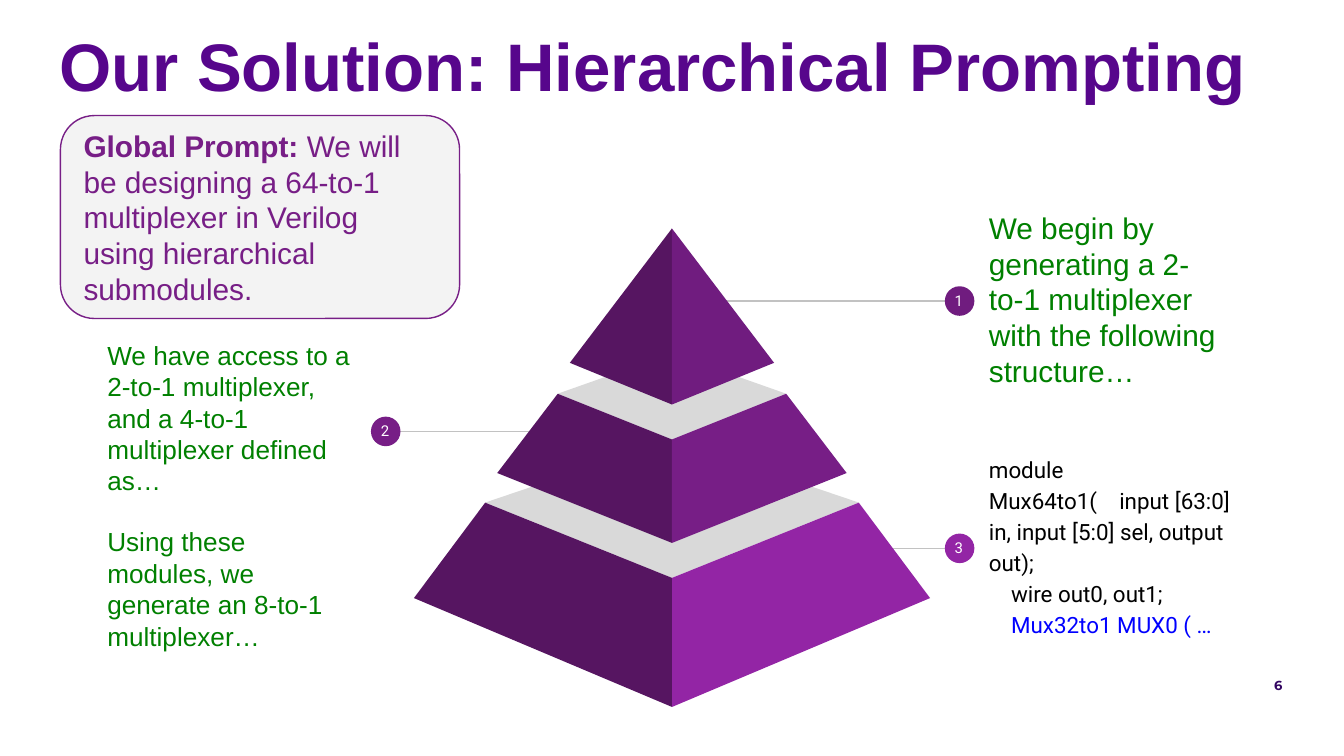
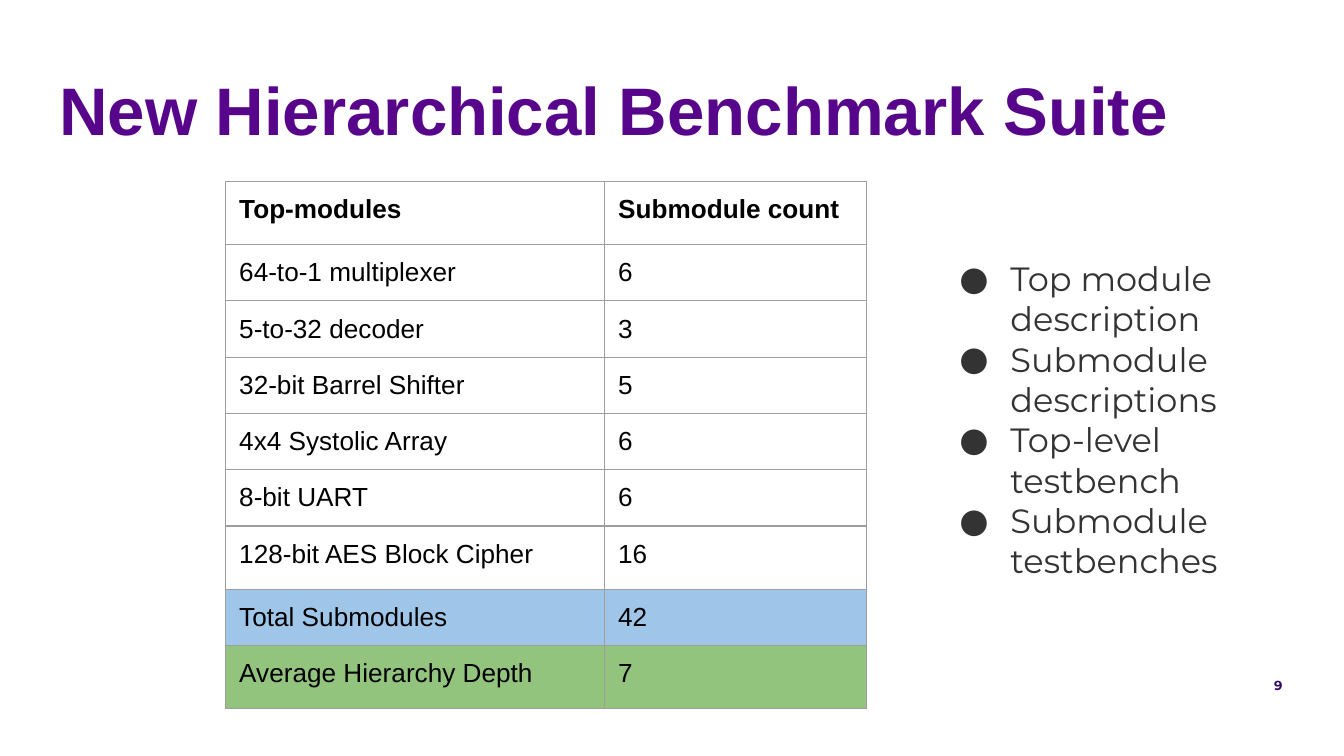
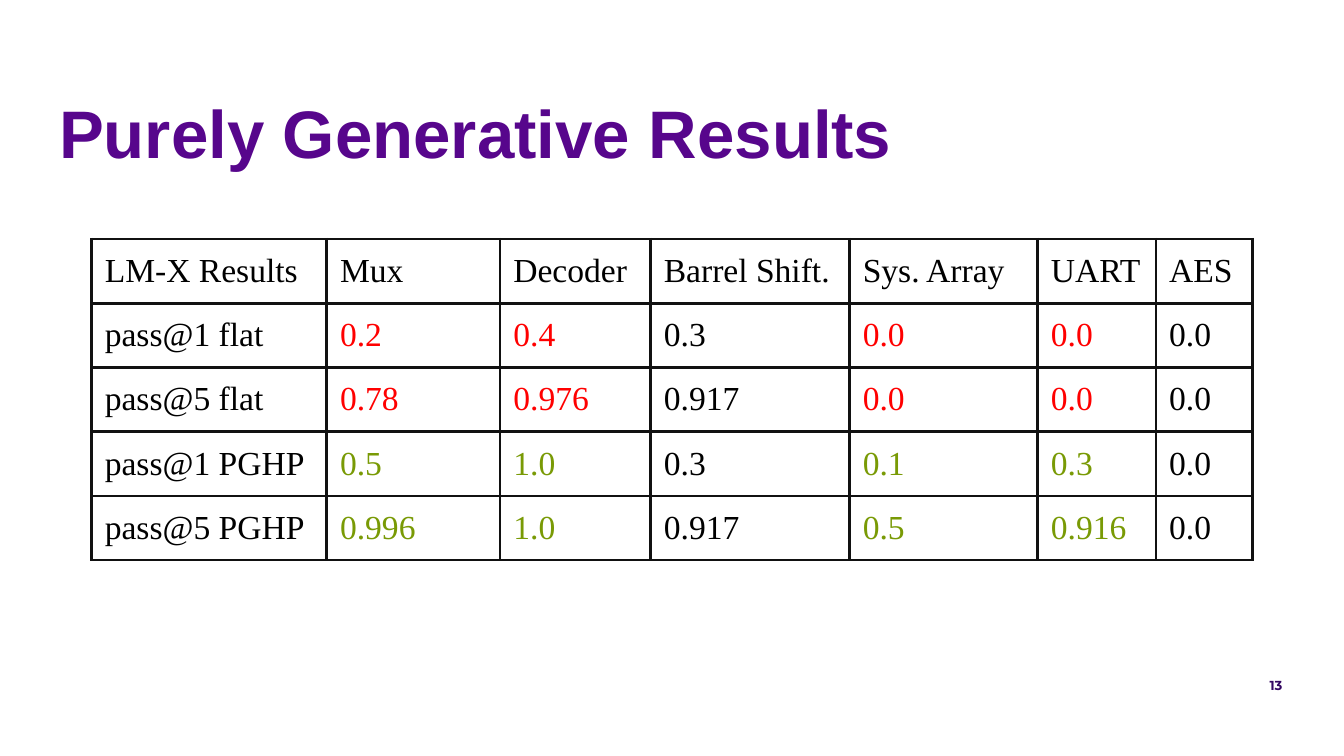
from lxml import etree
from pptx import Presentation
from pptx import util as u
from pptx.dml.color import RGBColor
from pptx.enum import shapes, text
from pptx.oxml import parse_xml
from pptx.oxml.ns import nsdecls, qn

COLORS = {
    "title": "57068C", "number": "330662", "black": "000000", "white": "FFFFFF",
    "green": "008000", "code_blue": "0000FF", "bullet": "333333",
    "line": "C2C2C2", "lid": "D9D9D9", "shade": "561561",
    "tier1": "701C7F", "tier2": "771E86", "tier3": "9325A5", "prompt": "F3F3F3",
    "grid": "9E9E9E", "total": "9FC5E8", "depth": "93C47D",
    "rule": "111111", "worse": "FF0000", "better": "799A05",
}
ALIGN = text.PP_ALIGN
MIDDLE = text.MSO_ANCHOR.MIDDLE
TOP = text.MSO_ANCHOR.TOP


def write(holder, *paragraphs, size=14, font="Arial", color="black", bold=False,
          align=ALIGN.LEFT, anchor=TOP, spacing=None, before=0, bullet=None):
    """Fill a shape or cell; a paragraph is a string or a list of (text, overrides)."""
    frame = holder.text_frame
    if hasattr(holder, "is_merge_origin"):
        box = holder
    else:
        box = frame
        frame.word_wrap = True
        frame.auto_size = text.MSO_AUTO_SIZE.NONE
    box.vertical_anchor = anchor
    box.margin_left = box.margin_right = u.Inches(0.1)
    box.margin_top = box.margin_bottom = u.Inches(0.1)
    for index, runs in enumerate(paragraphs):
        paragraph = frame.add_paragraph() if index else frame.paragraphs[0]
        if bullet:
            properties = paragraph._p.get_or_add_pPr()
            properties.set("marL", str(u.Inches(0.5)))
            properties.set("indent", str(u.Inches(-0.38)))
            bullet_color = etree.SubElement(properties, qn("a:buClr"))
            etree.SubElement(bullet_color, qn("a:srgbClr"), val=COLORS[color])
            etree.SubElement(properties, qn("a:buFont"), typeface=font)
            etree.SubElement(properties, qn("a:buChar"), char=bullet)
        paragraph.alignment = align
        if spacing:
            paragraph.line_spacing = spacing
        if index and before:
            paragraph.space_before = u.Pt(before)
        for words, changes in [(runs, {})] if isinstance(runs, str) else runs:
            run = paragraph.add_run()
            run.text = words
            run.font.size = u.Pt(size)
            run.font.name = font
            run.font.bold = changes.get("bold", bold)
            run.font.color.rgb = RGBColor.from_string(COLORS[changes.get("color", color)])


def add_table(slide, left, top, widths, heights, border, border_width):
    """Add an unstyled table with the same border round every cell."""
    table = slide.shapes.add_table(
        len(heights), len(widths), u.Inches(left), u.Inches(top),
        u.Inches(sum(widths)), u.Inches(sum(heights))).table
    table.first_row = table.horz_banding = False
    for column, width in zip(table.columns, widths):
        column.width = u.Inches(width)
    for row, height in zip(table.rows, heights):
        row.height = u.Inches(height)
    for cell in table.iter_cells():
        properties = cell._tc.get_or_add_tcPr()
        for side in ("lnL", "lnR", "lnT", "lnB"):
            properties.append(parse_xml(
                f'<a:{side} {nsdecls("a")} w="{u.Pt(border_width)}"><a:solidFill>'
                f'<a:srgbClr val="{COLORS[border]}"/></a:solidFill></a:{side}>'))
        cell.fill.background()
    return table


# Widescreen format, 16 to 9
presentation = Presentation()
presentation.slide_width = u.Inches(10)
presentation.slide_height = u.Inches(10) * 9 // 16

# Shared titles and page numbers
slides = []
for title, title_top, number in [
    ("Our Solution: Hierarchical Prompting", 0.08, "6"),
    ("New Hierarchical Benchmark Suite", 0.41, "9"),
    ("Purely Generative Results", 0.58, "13"),
]:
    slide = presentation.slides.add_slide(presentation.slide_layouts[5])
    heading = slide.shapes.title
    heading.left, heading.top = u.Inches(0.34), u.Inches(title_top)
    heading.width, heading.height = u.Inches(9.21), u.Inches(0.63)
    write(heading, title, size=36, color="title", bold=True)
    box = slide.shapes.add_textbox(*map(u.Inches, (5.05, 4.94, 4.59, 0.34)))
    write(box, number, size=7, font="Montserrat", color="number",
          bold=True, align=ALIGN.RIGHT)
    slides.append(slide)
pyramid_slide, suite_slide, results_slide = slides

# Numbered callouts: line ends, badge left, centre height
for number, color, line_start, line_end, badge_left, middle in [
    ("3", "tier3", 6.6, 7.24, 7.03, 4.08),
    ("2", "tier2", 3.97, 2.83, 2.76, 3.21),
    ("1", "tier1", 5.37, 7.24, 7.03, 2.24),
]:
    line = pyramid_slide.shapes.add_connector(
        shapes.MSO_CONNECTOR.STRAIGHT,
        *map(u.Inches, (line_start, middle, line_end, middle)))
    line.line.color.rgb = RGBColor.from_string(COLORS["line"])
    line.line.width = u.Pt(0.75)
    etree.SubElement(line._element.spPr, qn("a:effectLst"))
    badge = pyramid_slide.shapes.add_shape(
        shapes.MSO_SHAPE.OVAL,
        *map(u.Inches, (badge_left, middle - 0.11, 0.22, 0.22)))
    badge.shadow.inherit = False
    badge.fill.solid()
    badge.fill.fore_color.rgb = RGBColor.from_string(COLORS[color])
    badge.line.fill.background()
    box = pyramid_slide.shapes.add_textbox(
        *map(u.Inches, (badge_left - 0.03, middle - 0.17, 0.27, 0.34)))
    write(box, number, size=8, font="Roboto", color="white", align=ALIGN.CENTER)

# Callout texts
for left, top, paragraphs, text_format in [
    (7.26, 3.3, ["module Mux64to1(    input [63:0] in, input [5:0] sel, output out);",
                 "    wire out0, out1;",
                 [("    ", {}), ("Mux32to1 MUX0 ( …", {"color": "code_blue"})]],
     {"size": 12, "font": "Roboto", "spacing": 1.15}),
    (0.7, 2.93, ["We have access to a 2-to-1 multiplexer, and a 4-to-1 multiplexer defined as…",
                 "Using these modules, we generate an 8-to-1 multiplexer…"],
     {"color": "green", "before": 16}),
    (7.26, 1.47, ["We begin by generating a 2-to-1 multiplexer with the following structure…"],
     {"size": 16, "color": "green"}),
]:
    box = pyramid_slide.shapes.add_textbox(*map(u.Inches, (left, top, 2.04, 1.51)))
    write(box, *paragraphs, anchor=MIDDLE, **text_format)

# Pyramid tiers, bottom first, mirrored about the centre line
CENTER = 5
for color, back, shoulder, shoulder_y, ridge, base, base_y, front in [
    ("tier3", 3.27, 1.39, 3.74, 4.3, 1.92, 4.45, 5.26),
    ("tier2", 2.63, 0.85, 2.93, 3.27, 1.3, 3.52, 4.04),
    ("tier1", None, 0, 1.7, 1.7, 0.76, 2.7, 3.01),
]:
    faces = []
    if back:
        faces.append(("lid", [(CENTER - shoulder, shoulder_y), (CENTER, ridge),
                              (CENTER + shoulder, shoulder_y), (CENTER, back)]))
    for side, face_color in ((-1, "shade"), (1, color)):
        faces.append((face_color, [(CENTER + side * shoulder, shoulder_y),
                                   (CENTER + side * base, base_y),
                                   (CENTER, front), (CENTER, ridge)]))
    for face_color, points in faces:
        corners = [(u.Inches(x), u.Inches(y)) for x, y in points]
        builder = pyramid_slide.shapes.build_freeform(*corners[0])
        builder.add_line_segments(corners[1:], close=True)
        face = builder.convert_to_shape()
        face.shadow.inherit = False
        face.fill.solid()
        face.fill.fore_color.rgb = RGBColor.from_string(COLORS[face_color])
        face.line.fill.background()

# Global prompt
prompt = pyramid_slide.shapes.add_shape(
    shapes.MSO_SHAPE.ROUNDED_RECTANGLE, *map(u.Inches, (0.45, 0.86, 2.97, 1.51)))
prompt.shadow.inherit = False
prompt.fill.solid()
prompt.fill.fore_color.rgb = RGBColor.from_string(COLORS["prompt"])
prompt.line.color.rgb = RGBColor.from_string(COLORS["tier2"])
prompt.line.width = u.Pt(0.75)
write(prompt,
      [("Global Prompt:", {"bold": True}),
       (" We will be designing a 64-to-1 multiplexer in Verilog using hierarchical"
        " submodules.", {})],
      size=16, color="tier2", anchor=MIDDLE)

# Benchmark table
suite_rows = [
    ("Top-modules", "Submodule count"),
    ("64-to-1 multiplexer", "6"),
    ("5-to-32 decoder", "3"),
    ("32-bit Barrel Shifter", "5"),
    ("4x4 Systolic Array", "6"),
    ("8-bit UART", "6"),
    ("128-bit AES Block Cipher", "16"),
    ("Total Submodules", "42"),
    ("Average Hierarchy Depth", "7"),
]
row_fills = {7: "total", 8: "depth"}
suite_heights = [0.47 if row in (0, 6, 8) else 0.31 for row in range(len(suite_rows))]
suite_table = add_table(suite_slide, 1.68, 1.35, [2.82, 1.95], suite_heights, "grid", 0.75)
for row, values in enumerate(suite_rows):
    for column, value in enumerate(values):
        cell = suite_table.cell(row, column)
        write(cell, value, bold=row == 0)
        if row in row_fills:
            cell.fill.solid()
            cell.fill.fore_color.rgb = RGBColor.from_string(COLORS[row_fills[row]])

# Benchmark contents
box = suite_slide.shapes.add_textbox(*map(u.Inches, (6.92, 1.82, 2.49, 2.63)))
write(box, "Top module description", "Submodule descriptions",
      "Top-level testbench", "Submodule testbenches",
      size=18, font="Montserrat", color="bullet", bullet="●")

# Results table: flat scores against hierarchical ones where they differ
result_rows = [
    ("LM-X Results", "Mux", "Decoder", "Barrel Shift.", "Sys. Array", "UART", "AES"),
    ("pass@1 flat", "0.2", "0.4", "0.3", "0.0", "0.0", "0.0"),
    ("pass@5 flat", "0.78", "0.976", "0.917", "0.0", "0.0", "0.0"),
    ("pass@1 PGHP", "0.5", "1.0", "0.3", "0.1", "0.3", "0.0"),
    ("pass@5 PGHP", "0.996", "1.0", "0.917", "0.5", "0.916", "0.0"),
]
results_table = add_table(results_slide, 0.68, 1.78,
                          [1.75, 1.29, 1.12, 1.48, 1.4, 0.88, 0.72],
                          [0.46] * len(result_rows), "rule", 1.5)
for row, values in enumerate(result_rows):
    for column, value in enumerate(values):
        changed = row and column and result_rows[1][column] != result_rows[3][column]
        score_color = "worse" if row < 3 else "better"
        write(results_table.cell(row, column), value, size=18,
              font="Times New Roman", color=score_color if changed else "black")

presentation.save("out.pptx")
